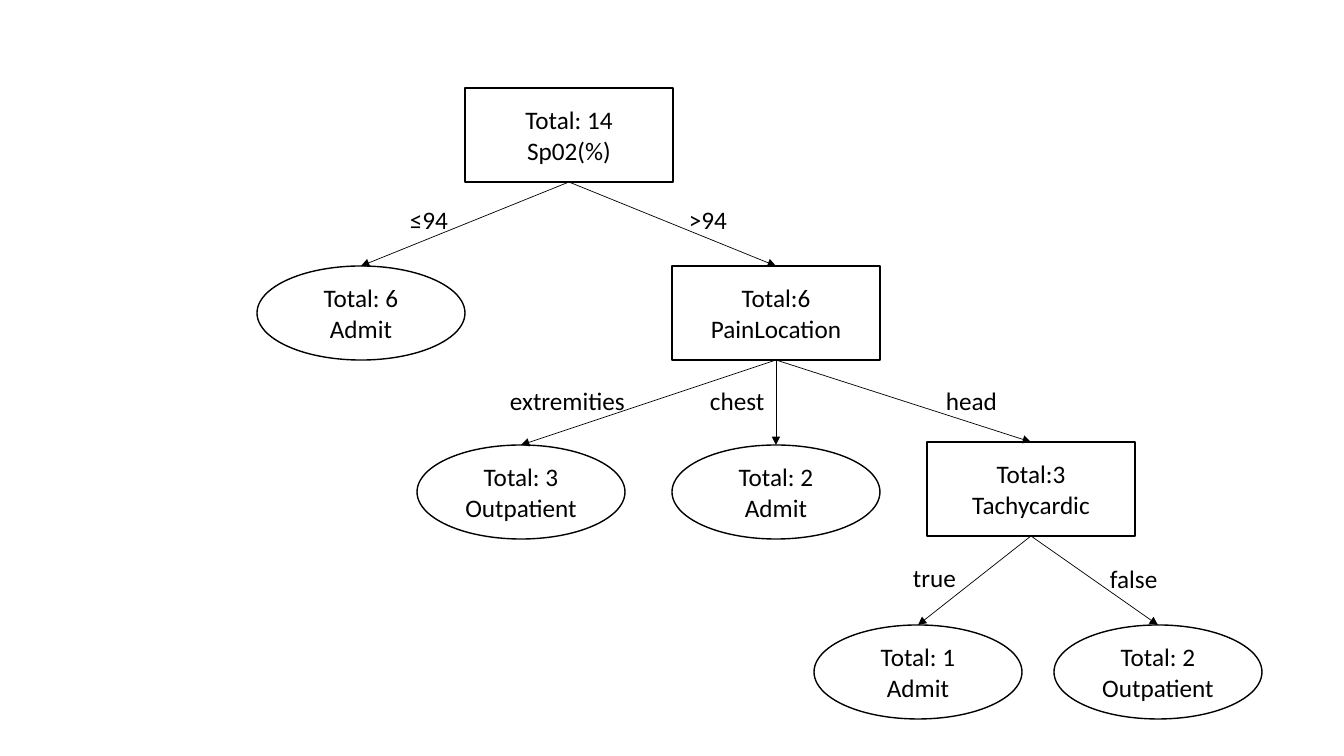
import dataclasses

import pptx
import pptx.dml.color
import pptx.enum.shapes
import pptx.enum.text
import pptx.oxml.ns
import pptx.presentation
import pptx.shapes.autoshape
import pptx.slide
import pptx.text.text
import pptx.util
from lxml import etree

EMU_PER_PIXEL = 914400 / 100.8
PAGE_WIDTH, PAGE_HEIGHT = 1344, 756
NODE_WIDTH, NODE_HEIGHT = 208, 94
LABEL_HEIGHT = 40
FONT_NAME, FONT_SIZE = "Calibri", 18
COLOURS = {"ink": "000000", "paper": "FFFFFF"}
BOTTOM_SITE, TOP_SITE = 2, 0


@dataclasses.dataclass(frozen=True)
class Node:
    left: int
    top: int
    total: str
    caption: str
    is_leaf: bool = True


@dataclasses.dataclass(frozen=True)
class Branch:
    parent: str
    child: str
    label: str
    left: int
    top: int
    width: int


NODES = {
    "oxygen": Node(465, 88, "Total: 14", "Sp02(%)", is_leaf=False),
    "pain": Node(672, 266, "Total:6", "PainLocation", is_leaf=False),
    "tachycardic": Node(927, 442, "Total:3", "Tachycardic", is_leaf=False),
    "low oxygen": Node(257, 266, "Total: 6", "Admit"),
    "chest": Node(672, 445, "Total: 2", "Admit"),
    "extremities": Node(417, 445, "Total: 3", "Outpatient"),
    "fast pulse": Node(814, 625, "Total: 1", "Admit"),
    "normal pulse": Node(1054, 625, "Total: 2", "Outpatient"),
}

BRANCHES = [
    Branch("oxygen", "low oxygen", "≤94", 400, 199, 58),
    Branch("oxygen", "pain", ">94", 679, 199, 58),
    Branch("pain", "extremities", "extremities", 500, 380, 136),
    Branch("pain", "chest", "chest", 700, 380, 76),
    Branch("pain", "tachycardic", "head", 936, 380, 76),
    Branch("tachycardic", "fast pulse", "true", 903, 557, 65),
    Branch("tachycardic", "normal pulse", "false", 1100, 558, 76),
]


def px(pixels: int) -> pptx.util.Emu:
    return pptx.util.Emu(round(pixels * EMU_PER_PIXEL))


def colour(name: str) -> pptx.dml.color.RGBColor:
    return pptx.dml.color.RGBColor.from_string(COLOURS[name])


def write_lines(frame: pptx.text.text.TextFrame, lines: list[str],
                alignment: pptx.enum.text.PP_ALIGN) -> None:
    frame.word_wrap = True
    for index, line in enumerate(lines):
        para = frame.add_paragraph() if index else frame.paragraphs[0]
        para.text = line
        para.alignment = alignment
        para.font.name = FONT_NAME
        para.font.size = pptx.util.Pt(FONT_SIZE)
        para.font.color.rgb = colour("ink")


def draw_node(page: pptx.slide.Slide, node: Node) -> pptx.shapes.autoshape.Shape:
    kinds = pptx.enum.shapes.MSO_SHAPE
    box = page.shapes.add_shape(
        kinds.OVAL if node.is_leaf else kinds.RECTANGLE,
        px(node.left), px(node.top), px(NODE_WIDTH), px(NODE_HEIGHT))
    box.shadow.inherit = False
    box.fill.solid()
    box.fill.fore_color.rgb = colour("paper")
    box.line.color.rgb = colour("ink")
    box.line.width = pptx.util.Pt(1)
    box.text_frame.vertical_anchor = pptx.enum.text.MSO_ANCHOR.MIDDLE
    write_lines(box.text_frame, [node.total, node.caption],
                pptx.enum.text.PP_ALIGN.CENTER)
    return box


def draw_arrow(page: pptx.slide.Slide, parent: pptx.shapes.autoshape.Shape,
               child: pptx.shapes.autoshape.Shape) -> None:
    arrow = page.shapes.add_connector(
        pptx.enum.shapes.MSO_CONNECTOR.STRAIGHT, 0, 0, 0, 0)
    arrow.begin_connect(parent, BOTTOM_SITE)
    arrow.end_connect(child, TOP_SITE)
    arrow.line.color.rgb = colour("ink")
    arrow.line.width = pptx.util.Pt(0.5)
    qn = pptx.oxml.ns.qn
    properties = arrow.element.spPr
    etree.SubElement(properties.find(qn("a:ln")), qn("a:tailEnd"), type="triangle")
    etree.SubElement(properties, qn("a:effectLst"))


def draw_label(page: pptx.slide.Slide, branch: Branch) -> None:
    box = page.shapes.add_textbox(
        px(branch.left), px(branch.top), px(branch.width), px(LABEL_HEIGHT))
    write_lines(box.text_frame, [branch.label], pptx.enum.text.PP_ALIGN.LEFT)
    box.text_frame.auto_size = pptx.enum.text.MSO_AUTO_SIZE.SHAPE_TO_FIT_TEXT


def build_deck() -> pptx.presentation.Presentation:
    deck = pptx.Presentation()
    deck.slide_width, deck.slide_height = px(PAGE_WIDTH), px(PAGE_HEIGHT)
    page = deck.slides.add_slide(deck.slide_layouts[6])

    # Decisions and outcomes
    boxes = {name: draw_node(page, node) for name, node in NODES.items()}

    # Arrows, then the answers that lie over them
    for branch in BRANCHES:
        draw_arrow(page, boxes[branch.parent], boxes[branch.child])
    for branch in BRANCHES:
        draw_label(page, branch)
    return deck


build_deck().save("out.pptx")
